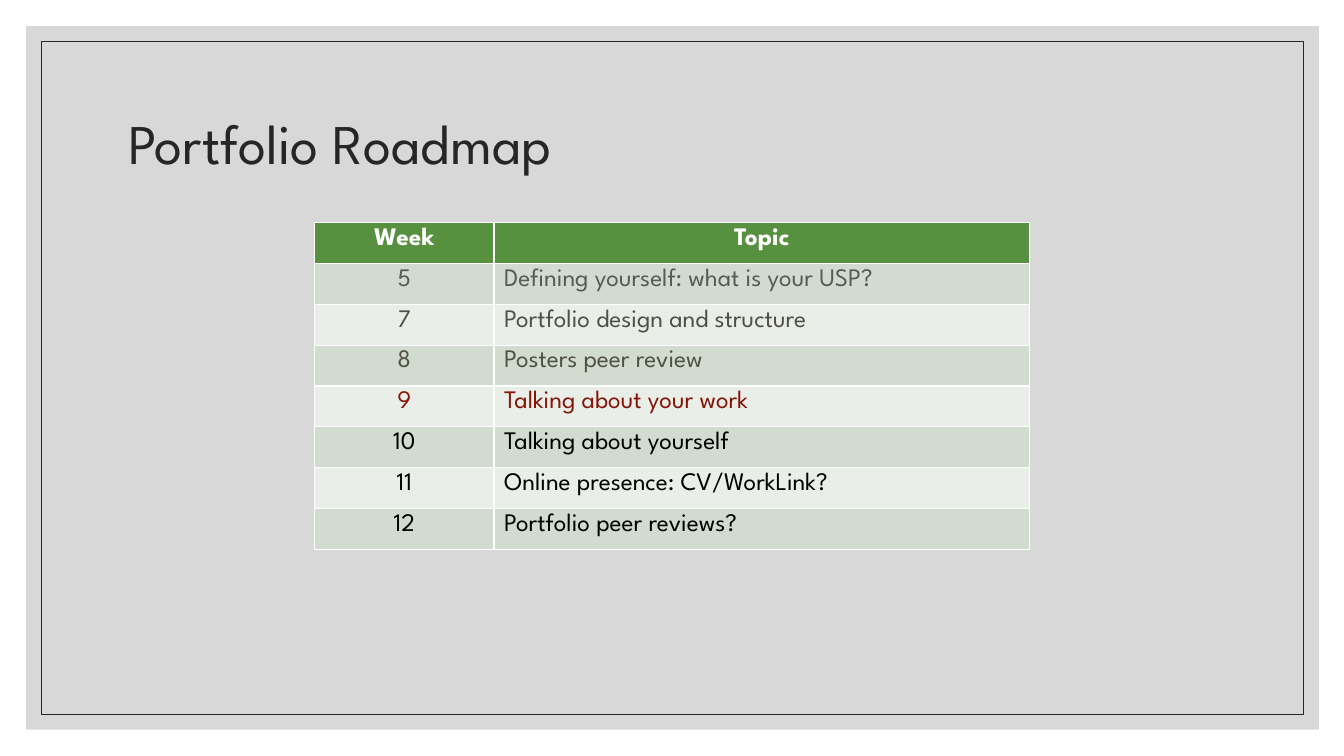
"""Build the Portfolio Roadmap slide with its weekly topic table."""
from lxml import etree
from pptx import Presentation
from pptx.dml.color import RGBColor
from pptx.enum import shapes, text
from pptx.oxml import ns
from pptx.util import Inches, Pt

COLORS = {
    "panel": "BFBFBF", "ink": "262626", "header": "57903F", "white": "FFFFFF",
    "odd": "D1DBCF", "even": "EAEEE8", "first": "595959", "past": "505046",
    "current": "841609", "upcoming": "000000",
}
ROWS = [
    ("Week", "Topic", "white"),
    ("5", "Defining yourself: what is your USP?", "first"),
    ("7", "Portfolio design and structure", "past"),
    ("8", "Posters peer review", "past"),
    ("9", "Talking about your work", "current"),
    ("10", "Talking about yourself", "upcoming"),
    ("11", "Online presence: CV/WorkLink?", "upcoming"),
    ("12", "Portfolio peer reviews?", "upcoming"),
]
ROW_HEIGHT = 0.405
COLUMN_WIDTHS = (1.78, 5.31)


def color(name):
    return RGBColor.from_string(COLORS[name])


def format_text(paragraph, color_name, alignment, **font_values):
    paragraph.alignment = alignment
    for name, value in {"name": "League Spartan", **font_values}.items():
        setattr(paragraph.font, name, value)
    paragraph.font.color.rgb = color(color_name)


presentation = Presentation()
presentation.slide_width = Inches(13.33)
presentation.slide_height = Inches(7.5)
slide = presentation.slides.add_slide(presentation.slide_layouts[5])

panel, frame = [
    slide.shapes.add_shape(shapes.MSO_SHAPE.RECTANGLE, *map(Inches, box))
    for box in ((0.26, 0.26, 12.82, 6.98), (0.41, 0.41, 12.52, 6.68))
]
for shape in (panel, frame):
    shape.shadow.inherit = False
panel.fill.solid()
panel.fill.fore_color.rgb = color("panel")
panel.line.fill.background()
panel_color = panel.element.spPr.find(".//" + ns.qn("a:srgbClr"))
etree.SubElement(panel_color, ns.qn("a:alpha"), val="60000")
frame.fill.background()
frame.line.color.rgb = color("ink")
frame.line.width = Pt(0.5)

title = slide.shapes.title
title.element.getparent().append(title.element)
title_box = {"left": 1.17, "top": 0.7, "width": 11, "height": 1.5}
for name, value in title_box.items():
    setattr(title, name, Inches(value))
title.text_frame.text = "Portfolio Roadmap"
title.text_frame.vertical_anchor = text.MSO_ANCHOR.MIDDLE
heading = title.text_frame.paragraphs[0]
heading.line_spacing = 0.9
format_text(heading, "ink", text.PP_ALIGN.LEFT, size=Pt(40))

table = slide.shapes.add_table(
    len(ROWS), len(COLUMN_WIDTHS), Inches(3.12), Inches(2.21),
    Inches(sum(COLUMN_WIDTHS)), Inches(ROW_HEIGHT * len(ROWS))
).table
for column, width in zip(table.columns, COLUMN_WIDTHS):
    column.width = Inches(width)
for row_index, (week, topic, text_color) in enumerate(ROWS):
    is_header = row_index == 0
    fill = "header" if is_header else ("even", "odd")[row_index % 2]
    for column_index, label in enumerate((week, topic)):
        cell = table.cell(row_index, column_index)
        cell.text = label
        cell.fill.solid()
        cell.fill.fore_color.rgb = color(fill)
        centred = is_header or column_index == 0
        alignment = text.PP_ALIGN.CENTER if centred else text.PP_ALIGN.LEFT
        format_text(cell.text_frame.paragraphs[0], text_color, alignment,
                    size=Pt(18), bold=is_header)

presentation.save("out.pptx")
